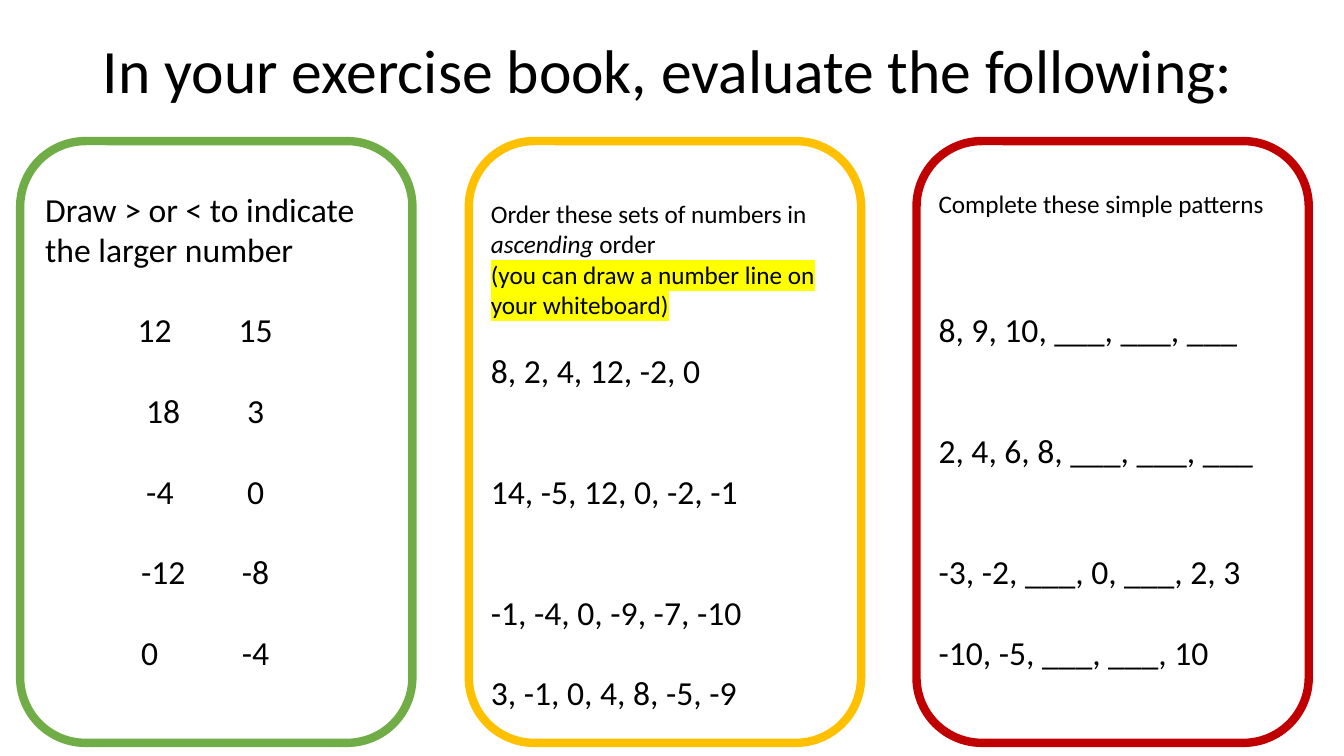
"""Build a slide with three columns of integer exercises."""
from dataclasses import dataclass

from lxml import etree
from pptx import Presentation
from pptx.dml import color
from pptx.enum import shapes, text
from pptx.oxml import ns
from pptx import util as u

COLORS = {
    "text": "000000",
    "panel": "FFFFFF",
    "easy": "70AD47",
    "medium": "FFC000",
    "hard": "C00000",
    "highlight": "FFFF00",
}
FONT = "Calibri"
PANEL_TOP, PANEL_WIDTH, PANEL_HEIGHT = 1.4, 3.89, 5.97
SMALL, LARGE = 18, 24
SMALL_GAP, LARGE_GAP = 21.6, 28.8


@dataclass
class Line:
    """One paragraph, with the space above it in points."""
    text: str
    gap: float = 0
    size: int = LARGE
    italic_word: str = ""
    highlighted: bool = False


@dataclass
class Column:
    """One outlined panel and the text box over it, in inches."""
    outline: str
    panel_left: float
    text_left: float
    text_top: float
    text_width: float
    text_height: float
    lines: list[Line]


COLUMNS = [
    Column("easy", 0.2, 0.35, 1.82, 3.37, 4.95, [
        Line("Draw > or < to indicate the larger number"),
        *(Line(pair, LARGE_GAP)
          for pair in ("12 \t15", "18\t3", "-4 \t0", "-12 \t-8", "0 \t-4")),
    ]),
    Column("medium", 4.65, 4.77, 1.92, 3.68, 6.16, [
        Line("Order these sets of numbers in ascending order", size=SMALL,
             italic_word="ascending "),
        Line("(you can draw a number line on your whiteboard)", size=SMALL,
             highlighted=True),
        Line("8, 2, 4, 12, -2, 0", SMALL_GAP),
        Line("14, -5, 12, 0, -2, -1", 2 * LARGE_GAP),
        Line("-1, -4, 0, -9, -7, -10", 2 * LARGE_GAP),
        Line("3, -1, 0, 4, 8, -5, -9", LARGE_GAP),
    ]),
    Column("hard", 9.09, 9.21, 1.82, 3.61, 5.55, [
        Line("Complete these simple patterns", size=SMALL),
        Line("8, 9, 10, ___, ___, ___", 3 * SMALL_GAP),
        Line("2, 4, 6, 8, ___, ___, ___", 2 * LARGE_GAP),
        Line("-3, -2, ___, 0, ___, 2, 3", 2 * LARGE_GAP),
        Line("-10, -5, ___, ___, 10", LARGE_GAP),
    ]),
]


def rgb(name: str) -> color.RGBColor:
    """Return the named colour."""
    return color.RGBColor.from_string(COLORS[name])


def style_font(paragraph, size: int) -> None:
    """Set the font of a whole paragraph."""
    paragraph.font.name = FONT
    paragraph.font.size = u.Pt(size)
    paragraph.font.color.rgb = rgb("text")


def add_title(slide, wording: str) -> None:
    """Place and format the title placeholder."""
    title = slide.shapes.title
    title.left, title.top = u.Inches(0.92), u.Inches(0)
    title.width, title.height = u.Inches(11.5), u.Inches(1.45)
    frame = title.text_frame
    frame.text = wording
    frame.auto_size = text.MSO_AUTO_SIZE.NONE
    frame.vertical_anchor = text.MSO_ANCHOR.MIDDLE
    paragraph = frame.paragraphs[0]
    paragraph.alignment = text.PP_ALIGN.LEFT
    paragraph.line_spacing = 0.9
    style_font(paragraph, 44)


def add_panel(slide, column: Column) -> None:
    """Draw the rounded outline of a column."""
    panel = slide.shapes.add_shape(
        shapes.MSO_SHAPE.ROUNDED_RECTANGLE,
        u.Inches(column.panel_left), u.Inches(PANEL_TOP),
        u.Inches(PANEL_WIDTH), u.Inches(PANEL_HEIGHT))
    panel.shadow.inherit = False
    panel.fill.solid()
    panel.fill.fore_color.rgb = rgb("panel")
    panel.line.color.rgb = rgb(column.outline)
    panel.line.width = u.Pt(6)


def add_tab_stop(paragraph) -> None:
    """Give a paragraph a left tab stop at one inch."""
    properties = paragraph._p.get_or_add_pPr()
    stops = etree.SubElement(properties, ns.qn("a:tabLst"))
    etree.SubElement(stops, ns.qn("a:tab"), pos=str(u.Inches(1)), algn="l")


def highlight(run) -> None:
    """Mark a run with the highlight colour."""
    mark = etree.SubElement(run._r.get_or_add_rPr(), ns.qn("a:highlight"))
    etree.SubElement(mark, ns.qn("a:srgbClr"), val=COLORS["highlight"])


def write_line(paragraph, line: Line) -> None:
    """Fill a paragraph with one line of the exercise."""
    paragraph.alignment = text.PP_ALIGN.LEFT
    if line.gap:
        paragraph.space_before = u.Pt(line.gap)
    if "\t" in line.text:
        paragraph.alignment = text.PP_ALIGN.CENTER
        add_tab_stop(paragraph)
    style_font(paragraph, line.size)
    pieces = line.text.partition(line.italic_word) if line.italic_word else [line.text]
    for piece in pieces:
        run = paragraph.add_run()
        run.text = piece
        if piece == line.italic_word:
            run.font.italic = True
        if line.highlighted:
            highlight(run)


def add_exercise(slide, column: Column) -> None:
    """Write the exercise text of a column."""
    box = slide.shapes.add_textbox(
        u.Inches(column.text_left), u.Inches(column.text_top),
        u.Inches(column.text_width), u.Inches(column.text_height))
    frame = box.text_frame
    frame.word_wrap = True
    for index, line in enumerate(column.lines):
        paragraph = frame.add_paragraph() if index else frame.paragraphs[0]
        write_line(paragraph, line)


def main() -> None:
    """Build and save the presentation."""
    presentation = Presentation()
    presentation.slide_width = u.Inches(13.33)
    presentation.slide_height = u.Inches(7.5)
    slide = presentation.slides.add_slide(presentation.slide_layouts[5])
    add_title(slide, "In your exercise book, evaluate the following:")
    for column in COLUMNS:
        add_panel(slide, column)
    for column in COLUMNS:
        add_exercise(slide, column)
    presentation.save("out.pptx")


if __name__ == "__main__":
    main()
